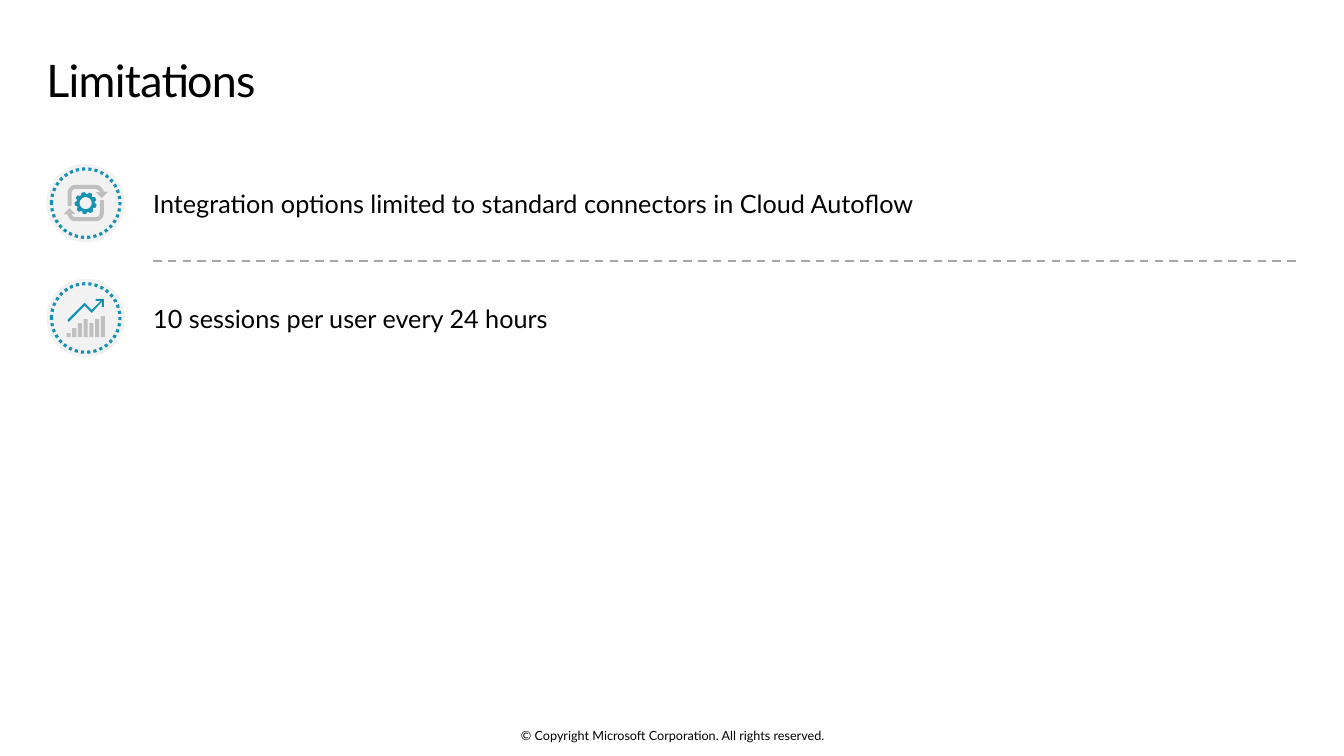
from dataclasses import dataclass
from math import cos, radians, sin

from lxml.etree import SubElement
from pptx import Presentation
from pptx.dml.color import RGBColor
from pptx.enum.dml import MSO_LINE
from pptx.enum.shapes import MSO_CONNECTOR, MSO_SHAPE
from pptx.enum.text import MSO_ANCHOR, MSO_AUTO_SIZE, PP_ALIGN
from pptx.oxml.ns import qn
from pptx.util import Inches, Pt


@dataclass(frozen=True)
class Theme:
    font: str = "Lato"
    text: RGBColor = RGBColor(0x00, 0x00, 0x00)
    accent: RGBColor = RGBColor(0x13, 0x92, 0xB4)
    disc: RGBColor = RGBColor(0xF2, 0xF2, 0xF2)
    gray: RGBColor = RGBColor(0xBF, 0xBF, 0xBF)
    divider: RGBColor = RGBColor(0xA6, 0xA6, 0xA6)
    title_size: int = 32
    body_size: int = 18
    footer_size: int = 9


def arc(center_x, center_y, radius, start, end, steps=8):
    """Points along a circle, with angles in degrees clockwise from the right."""
    angles = [radians(start + (end - start) * i / steps) for i in range(steps + 1)]
    return [(center_x + radius * cos(a), center_y + radius * sin(a)) for a in angles]


class SlideBuilder:
    def __init__(self, slide, theme):
        self.slide = slide
        self.theme = theme

    def fill_text(self, shape, text, size, anchor, align=PP_ALIGN.LEFT,
                  insets=(0, 0, 0, 0)):
        frame = shape.text_frame
        frame.text = text
        frame.word_wrap = True
        frame.auto_size = MSO_AUTO_SIZE.NONE
        frame.vertical_anchor = anchor
        (frame.margin_left, frame.margin_top,
         frame.margin_right, frame.margin_bottom) = map(Inches, insets)
        para = frame.paragraphs[0]
        para.alignment = align
        span = para.runs[0]
        span.font.name = self.theme.font
        span.font.size = Pt(size)
        span.font.color.rgb = self.theme.text
        return para

    def title(self, text, left, top, width, height):
        shape = self.slide.shapes.title
        shape.left, shape.top, shape.width, shape.height = map(
            Inches, (left, top, width, height))
        para = self.fill_text(shape, text, self.theme.title_size, MSO_ANCHOR.TOP,
                              insets=(0, 0.1, 0.16, 0.1))
        para.line_spacing = 0.9
        para.runs[0].font._element.set("spc", "-50")

    def text(self, text, left, top, width, height, size, align=PP_ALIGN.LEFT):
        box = self.slide.shapes.add_textbox(*map(Inches, (left, top, width, height)))
        self.fill_text(box, text, size, MSO_ANCHOR.MIDDLE, align)

    def divider(self, left, right, y):
        line = self.slide.shapes.add_connector(
            MSO_CONNECTOR.STRAIGHT, *map(Inches, (left, y, right, y)))
        line.line.color.rgb = self.theme.divider
        line.line.width = Pt(1.5)
        line.line.dash_style = MSO_LINE.DASH
        SubElement(line._element.spPr, qn("a:effectLst"))

    def circle(self, group, x, y, diameter):
        corner = (x - diameter / 2, y - diameter / 2)
        shape = group.shapes.add_shape(
            MSO_SHAPE.OVAL, *map(Inches, (*corner, diameter, diameter)))
        shape.shadow.inherit = False
        return shape

    def badge(self, x, y):
        group = self.slide.shapes.add_group_shape()
        disc = self.circle(group, x, y, 0.78)
        disc.fill.solid()
        disc.fill.fore_color.rgb = self.theme.disc
        disc.line.fill.background()
        ring = self.circle(group, x, y, 0.68)
        ring.fill.background()
        ring.line.color.rgb = self.theme.accent
        ring.line.width = Pt(2.25)
        ring.line.dash_style = MSO_LINE.ROUND_DOT
        return group

    def outline(self, group, x, y, contours, color):
        """One filled outline; its contours are offsets from (x, y)."""
        placed = [[(Inches(x + dx), Inches(y + dy)) for dx, dy in contour]
                  for contour in contours]
        builder = group.shapes.build_freeform(*placed[0][0])
        for index, contour in enumerate(placed):
            if index:
                builder.move_to(*contour[0])
            builder.add_line_segments(contour[1:], close=True)
        shape = builder.convert_to_shape()
        shape.shadow.inherit = False
        shape.fill.solid()
        shape.fill.fore_color.rgb = color
        shape.line.fill.background()

    def automation_icon(self, x, y):
        group = self.badge(x, y)
        arrow = [(-0.14, 0.03), *arc(-0.1, -0.1, 0.04, 180, 270),
                 *arc(0.1, -0.1, 0.04, 270, 350),
                 (0.1, -0.11), (0.16, -0.05), (0.22, -0.11),
                 *arc(0.1, -0.1, 0.08, 350, 270),
                 *arc(-0.1, -0.1, 0.08, 270, 180), (-0.18, 0.03)]
        for turn in (1, -1):
            turned = [(turn * dx, turn * dy) for dx, dy in arrow]
            self.outline(group, x, y, [turned], self.theme.gray)
        # Nine teeth around a round hole
        teeth = []
        for angle in range(0, 360, 40):
            teeth += arc(0, 0, 0.11, angle + 8, angle + 24, 1)
            teeth += arc(0, 0, 0.09, angle + 32, angle + 40, 1)
        hole = arc(0, 0, 0.06, 360, 0, 32)
        self.outline(group, x, y, [teeth, hole], self.theme.accent)

    def usage_icon(self, x, y):
        group = self.badge(x, y)
        base, bar_width, pitch = 0.19, 0.04, 0.34 / 6
        bars = []
        for i, height in enumerate((0.04, 0.09, 0.14, 0.18, 0.14, 0.18, 0.21)):
            left, top = -0.19 + i * pitch, base - height
            bars.append([(left, top), (left + bar_width, top),
                         (left + bar_width, base), (left, base)])
        self.outline(group, x, y, bars, self.theme.gray)
        trend = [(0.1, -0.19), (0.1, -0.17), (0.15, -0.17), (0.06, -0.08),
                 (-0.01, -0.15), (-0.18, 0.02), (-0.17, 0.04), (-0.01, -0.12),
                 (0.06, -0.05), (0.16, -0.16), (0.16, -0.11), (0.18, -0.11),
                 (0.18, -0.19)]
        self.outline(group, x, y, [trend], self.theme.accent)


def main():
    deck = Presentation()
    deck.slide_width, deck.slide_height = Inches(13.33), Inches(7.5)
    theme = Theme()
    page = SlideBuilder(deck.slides.add_slide(deck.slide_layouts[5]), theme)

    # Title
    page.title("Limitations", 0.46, 0.48, 12.4, 0.74)

    # Limitations, each with an icon
    rows = (
        ("Integration options limited to standard connectors in Cloud Autoflow",
         page.automation_icon),
        ("10 sessions per user every 24 hours", page.usage_icon),
    )
    row_top, row_height, row_pitch = 1.59, 0.85, 1.14
    for i, (limitation, draw_icon) in enumerate(rows):
        top = row_top + i * row_pitch
        draw_icon(0.85, top + row_height / 2)
        page.text(limitation, 1.52, top, 11.36, row_height, theme.body_size)
    page.divider(1.52, 12.86, 2.59)

    # Footer
    page.text("© Copyright Microsoft Corporation. All rights reserved.",
              4.42, 7.22, 4.5, 0.15, theme.footer_size, PP_ALIGN.CENTER)

    deck.save("out.pptx")


if __name__ == "__main__":
    main()
